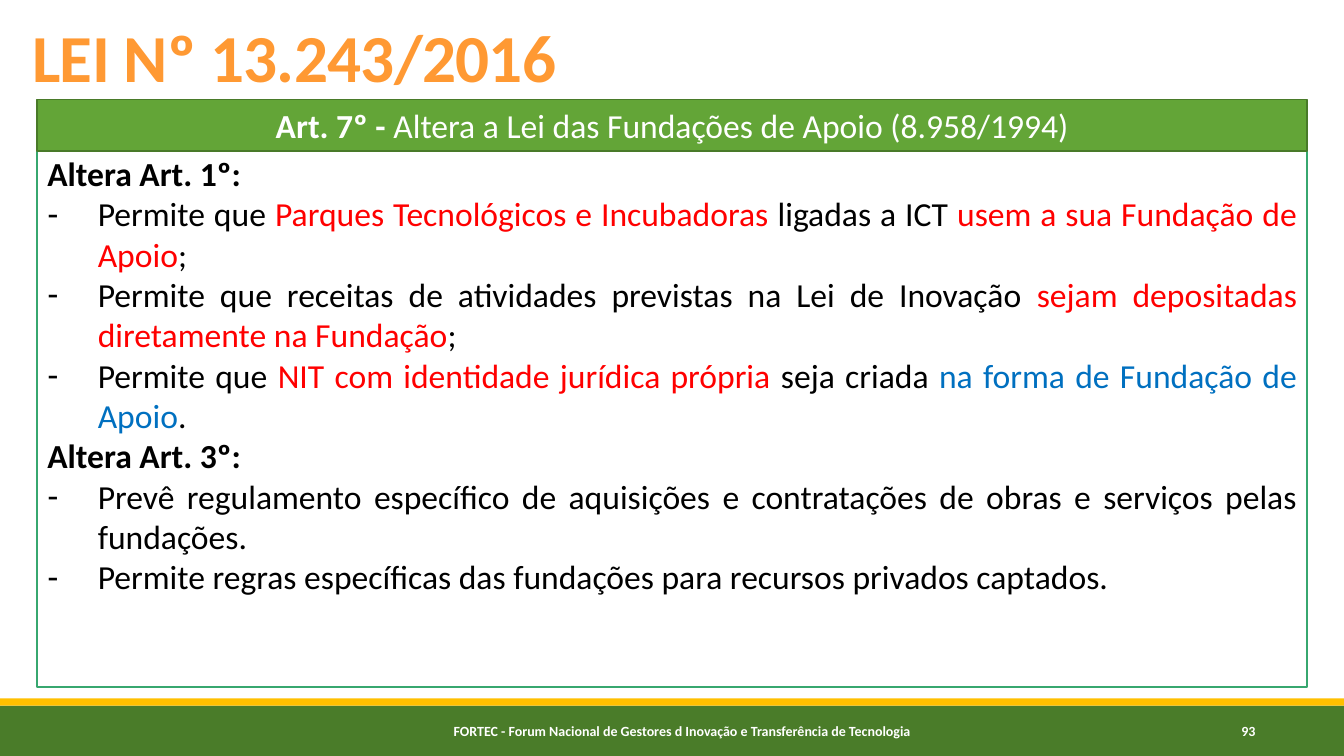
import pptx
import pptx.dml.color
import pptx.enum.shapes
import pptx.enum.text
import pptx.oxml
import pptx.oxml.ns
import pptx.util
from pptx.util import Cm

COLORS = {
    "white": "FFFFFF", "black": "000000", "red": "FF0000", "blue": "0070C0",
    "title": "FF9933", "banner": "63A537", "banner_line": "497A29",
    "frame": "37A76F", "footer": "4A7C29", "stripe": "FFC000",
}
ALIGN = pptx.enum.text.PP_ALIGN
ANCHOR = pptx.enum.text.MSO_ANCHOR
PAGE_WIDTH, PAGE_HEIGHT = 33.87, 19.05
INDENT = Cm(1.27)

# Each paragraph is (is_item, spans); each span is (text, color).
ARTICLES = [
    (False, [("Altera Art. 1º:", "black")]),
    (True, [("Permite que ", "black"),
            ("Parques Tecnológicos e Incubadoras ", "red"),
            ("ligadas a ICT ", "black"),
            ("usem a sua Fundação de Apoio", "red"), (";", "black")]),
    (True, [("Permite que receitas de atividades previstas na Lei de Inovação ", "black"),
            ("sejam depositadas diretamente na Fundação", "red"), (";", "black")]),
    (True, [("Permite que ", "black"),
            ("NIT com identidade jurídica própria ", "red"),
            ("seja criada ", "black"),
            ("na forma de Fundação de Apoio", "blue"), (".", "black")]),
    (False, [("Altera Art. 3º:", "black")]),
    (True, [("Prevê regulamento específico de aquisições e contratações "
             "de obras e serviços pelas fundações.", "black")]),
    (True, [("Permite regras específicas das fundações para recursos "
             "privados captados.", "black")]),
]


def rgb(name):
    return pptx.dml.color.RGBColor.from_string(COLORS[name])


def place(shape, left, top, width, height):
    shape.left, shape.top = Cm(left), Cm(top)
    shape.width, shape.height = Cm(width), Cm(height)


def paint(shape, fill, line=None):
    shape.fill.solid()
    shape.fill.fore_color.rgb = rgb(fill)
    if line:
        shape.line.color.rgb = rgb(line)
        shape.line.width = pptx.util.Pt(1.25)
    else:
        shape.line.fill.background()


def prepare_frame(shape, anchor):
    frame = shape.text_frame
    frame.word_wrap = True
    frame.auto_size = pptx.enum.text.MSO_AUTO_SIZE.NONE
    frame.vertical_anchor = anchor
    return frame


def add_span(para, text, size, color, bold=False):
    span = para.add_run()
    span.text = text
    span.font.name = "Calibri"
    span.font.size = pptx.util.Pt(size)
    span.font.bold = bold
    span.font.color.rgb = rgb(color)
    return span


def add_bar(page, left, top, width, height, fill, line=None):
    bar = page.shapes.add_shape(pptx.enum.shapes.MSO_SHAPE.RECTANGLE,
                                Cm(left), Cm(top), Cm(width), Cm(height))
    bar.shadow.inherit = False
    paint(bar, fill, line)
    return bar


def set_bullet(para, is_item):
    properties = para._p.get_or_add_pPr()
    properties.set("marL", str(INDENT if is_item else 0))
    properties.set("indent", str(-INDENT if is_item else 0))
    if is_item:
        bullet = pptx.oxml.parse_xml(
            f'<a:buChar {pptx.oxml.ns.nsdecls("a")} char="-"/>')
    else:
        bullet = pptx.oxml.parse_xml(f'<a:buNone {pptx.oxml.ns.nsdecls("a")}/>')
    properties.append(bullet)


def fill_title(page, left, top, width, height):
    title = page.shapes.title
    place(title, left, top, width, height)
    para = prepare_frame(title, ANCHOR.BOTTOM).paragraphs[0]
    para.alignment = ALIGN.LEFT
    para.line_spacing = 0.85
    span = add_span(para, "LEI Nº 13.243/2016", 48, "title", bold=True)
    span.font._element.set("spc", "-50")


def fill_articles(page, left, top, width, height):
    body = page.placeholders[1]
    place(body, left, top, width, height)
    paint(body, "white", "frame")
    frame = prepare_frame(body, ANCHOR.TOP)
    for index, (is_item, spans) in enumerate(ARTICLES):
        para = frame.add_paragraph() if index else frame.paragraphs[0]
        set_bullet(para, is_item)
        para.alignment = ALIGN.JUSTIFY
        para.space_before = pptx.util.Pt(0)
        for text, color in spans:
            add_span(para, text, 24, color, bold=not is_item)


def add_banner(page, left, top, width, height):
    banner = add_bar(page, left, top, width, height, "banner", "banner_line")
    para = prepare_frame(banner, ANCHOR.MIDDLE).paragraphs[0]
    para.alignment = ALIGN.CENTER
    add_span(para, "Art. 7º - ", 24, "white", bold=True)
    add_span(para, "Altera a Lei das Fundações de Apoio (8.958/1994)", 24, "white")


def add_footer(page, left, top, width, height):
    stripe = 0.18
    add_bar(page, left, top + stripe, width, height - stripe, "footer")
    add_bar(page, left, top, width, stripe, "stripe")
    labels = [
        ("FORTEC - Forum Nacional de Gestores d Inovação e "
         "Transferência de Tecnologia", 7.42, 19.53),
        ("93", 29.62, 3.68),
    ]
    for text, offset, label_width in labels:
        box = page.shapes.add_textbox(Cm(left + offset), Cm(top + 0.3),
                                      Cm(label_width), Cm(1.02))
        para = prepare_frame(box, ANCHOR.MIDDLE).paragraphs[0]
        para.alignment = ALIGN.CENTER
        add_span(para, text, 10, "white", bold=True)


def main():
    deck = pptx.Presentation()
    deck.slide_width, deck.slide_height = Cm(PAGE_WIDTH), Cm(PAGE_HEIGHT)
    page = deck.slides.add_slide(deck.slide_layouts[1])
    fill_title(page, 0.56, 0.36, 30.43, 2.18)
    fill_articles(page, 0.94, 3.73, 32, 13.59)
    add_banner(page, 0.94, 2.51, 32, 1.3)
    add_footer(page, 0, 17.6, PAGE_WIDTH, PAGE_HEIGHT - 17.6)
    deck.save("out.pptx")


if __name__ == "__main__":
    main()
